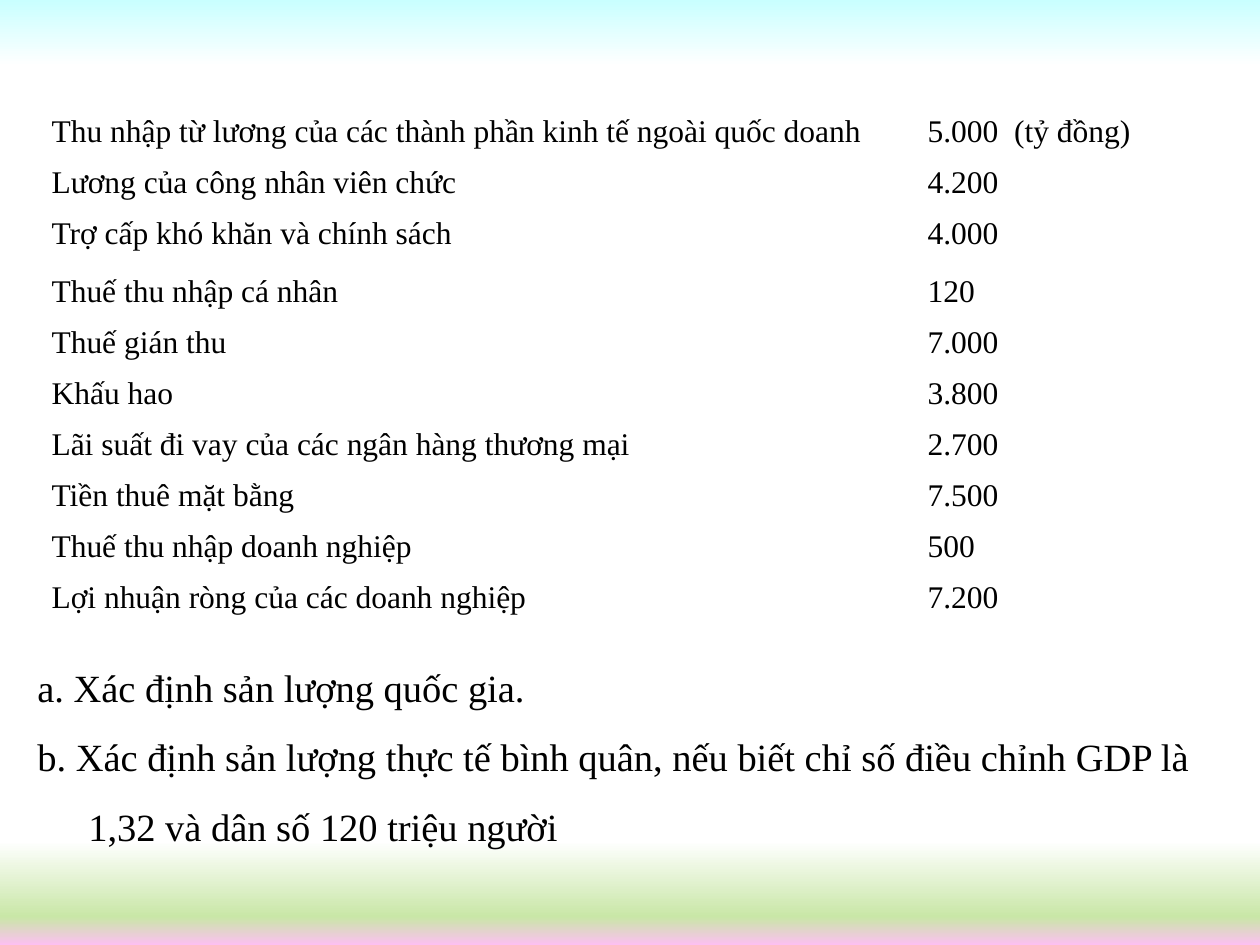
from lxml import etree
from pptx import Presentation
from pptx.dml.color import RGBColor
from pptx.oxml.ns import qn
from pptx.util import Emu, Pt

FONT = "Times New Roman"
BLACK = "000000"
BACKGROUND = [(0, "C9FFFF"), (7, "FFFFFF"), (89, "FFFFFF"), (97, "C9E7A7"), (100, "FCC0F1")]
ITEMS = [
    ("Thu nhập từ lương của các thành phần kinh tế ngoài quốc doanh", "5.000  (tỷ đồng)"),
    ("Lương của công nhân viên chức", "4.200"),
    ("Trợ cấp khó khăn và chính sách", "4.000"),
    ("Thuế thu nhập cá nhân", "120"),
    ("Thuế gián thu", "7.000"),
    ("Khấu hao", "3.800"),
    ("Lãi suất đi vay của các ngân hàng thương mại", "2.700"),
    ("Tiền thuê mặt bằng", "7.500"),
    ("Thuế thu nhập doanh nghiệp", "500"),
    ("Lợi nhuận ròng của các doanh nghiệp", "7.200"),
]
QUESTIONS = [
    "a. Xác định sản lượng quốc gia.",
    "b. Xác định sản lượng thực tế bình quân, nếu biết chỉ số điều chỉnh GDP là 1,32 và dân số 120 triệu người",
]
COLUMN_WIDTHS = [876, 305]
ROW_HEIGHT, TALL_ROW, TALL_ROW_HEIGHT = 51, 2, 58


def px(n):
    return Emu(round(n * 914400 / 126))


def rgb(color):
    return RGBColor.from_string(color)


def add_run(p, text, size):
    r = p.add_run()
    r.text = text
    r.font.name = FONT
    r.font.size = Pt(size)
    r.font.color.rgb = rgb(BLACK)


def paint_background(s):
    fill = s.background.fill
    fill.gradient()
    fill.gradient_angle = 270
    stops = s.element.find(".//" + qn("a:gsLst"))
    for stop in list(stops):
        stops.remove(stop)
    for percent, color in BACKGROUND:
        stop = etree.SubElement(stops, qn("a:gs"), pos=str(percent * 1000))
        etree.SubElement(stop, qn("a:srgbClr"), val=color)


def add_items(s):
    heights = [TALL_ROW_HEIGHT if i == TALL_ROW else ROW_HEIGHT for i in range(len(ITEMS))]
    frame = s.shapes.add_table(len(ITEMS), len(COLUMN_WIDTHS), px(39), px(108),
                               px(sum(COLUMN_WIDTHS)), px(sum(heights)))
    table = frame.table
    table.first_row = table.horz_banding = False
    table._tbl.tblPr.find(qn("a:tableStyleId")).text = "{2D5ABB26-0587-4C30-8999-92F81FD0307C}"
    for column, width in zip(table.columns, COLUMN_WIDTHS):
        column.width = px(width)
    for row, height, texts in zip(table.rows, heights, ITEMS):
        row.height = px(height)
        for cell, text in zip(row.cells, texts):
            cell.fill.background()
            add_run(cell.text_frame.paragraphs[0], text, 18)


def add_questions(s):
    tf = s.shapes.add_textbox(px(20), px(635), px(1197), px(276)).text_frame
    tf.word_wrap = True
    for i, text in enumerate(QUESTIONS):
        p = tf.add_paragraph() if i else tf.paragraphs[0]
        p.line_spacing = 1.5
        pPr = p._p.get_or_add_pPr()
        pPr.set("marL", str(px(56)))
        pPr.set("indent", str(px(-51)))
        add_run(p, text, 22)


prs = Presentation()
prs.slide_width, prs.slide_height = px(1260), px(945)
s = prs.slides.add_slide(prs.slide_layouts[6])
paint_background(s)
add_questions(s)
add_items(s)
prs.save("out.pptx")
